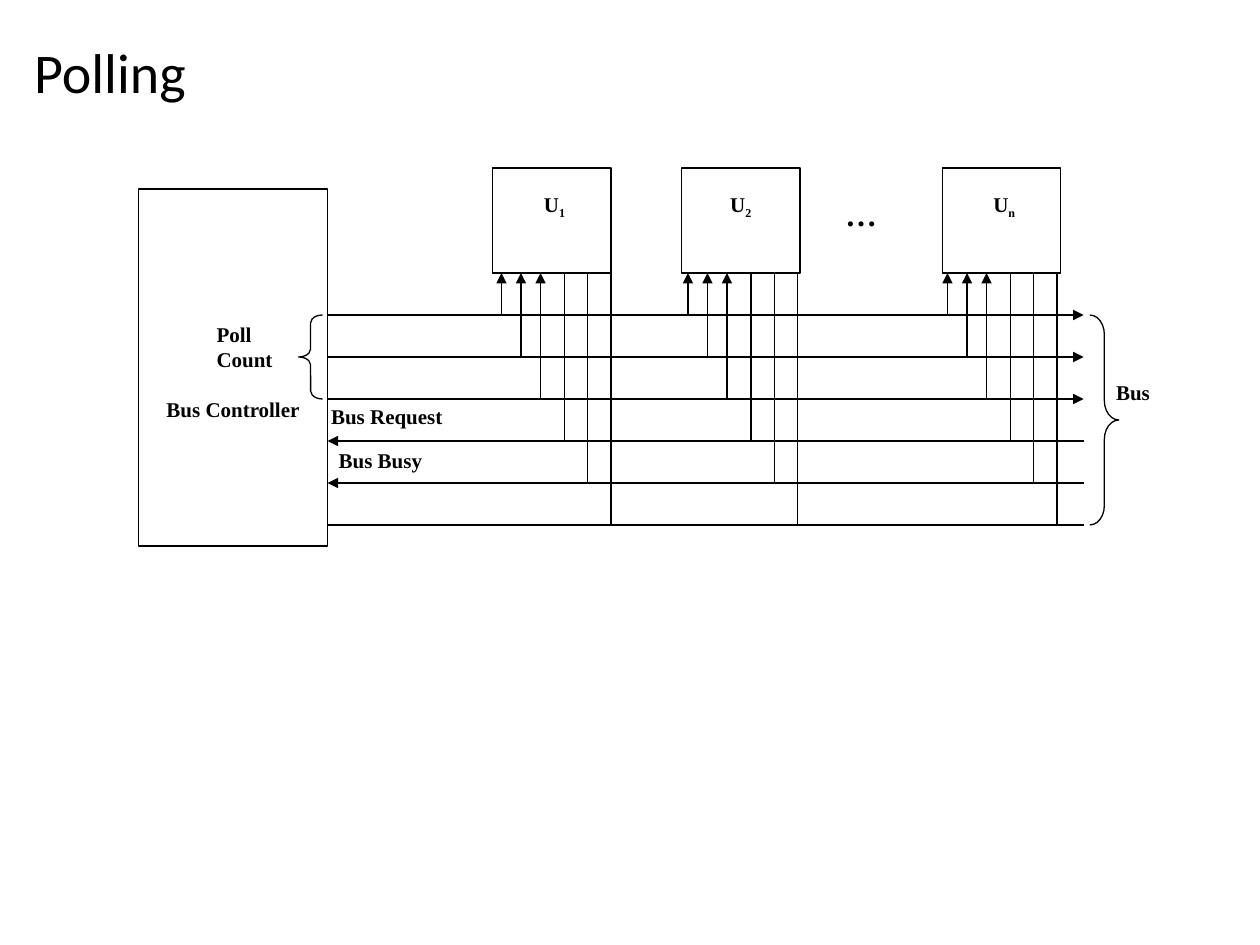
from lxml import etree
from pptx import Presentation
from pptx import util as u
from pptx.dml.color import RGBColor
from pptx.enum import shapes, text
from pptx.oxml.ns import qn

BLACK = RGBColor(0, 0, 0)
WHITE = RGBColor(255, 255, 255)
SERIF = "Times New Roman"

deck = Presentation()
deck.slide_width, deck.slide_height = u.Inches(10), u.Inches(7.5)
column = deck.slide_width / 100
row = deck.slide_height / 45
page = deck.slides.add_slide(deck.slide_layouts[5])


def write(box, lines, align, size=12, inset_rows=0.3):
    frame = box.text_frame
    frame.word_wrap = True
    frame.vertical_anchor = text.MSO_ANCHOR.TOP
    frame.margin_top = int(inset_rows * row)
    for index, pieces in enumerate(lines):
        para = frame.add_paragraph() if index else frame.paragraphs[0]
        para.alignment = align
        for level, piece in enumerate(pieces):
            span = para.add_run()
            span.text = piece
            span.font.name, span.font.size = SERIF, u.Pt(size)
            span.font.bold = True
            span.font.color.rgb = BLACK
            if level:
                span.font._element.set("baseline", "-25000")


def draw_line(start, end, arrow=None):
    line = page.shapes.add_connector(
        shapes.MSO_CONNECTOR.STRAIGHT,
        int(start[0] * column), int(start[1] * row),
        int(end[0] * column), int(end[1] * row))
    line.line.color.rgb = BLACK
    line.line.width = u.Pt(0.75)
    if arrow:
        etree.SubElement(line.line._ln, qn(f"a:{arrow}"), type="triangle")
    etree.SubElement(line._element.spPr, qn("a:effectLst"))


title = page.shapes.title
title.left, title.top = int(1.7 * column), int(1.5 * row)
title.width, title.height = int(95.8 * column), int(4.5 * row)
title.text_frame.vertical_anchor = text.MSO_ANCHOR.TOP
para = title.text_frame.paragraphs[0]
para.alignment = text.PP_ALIGN.LEFT
span = para.add_run()
span.text = "Polling"
span.font.name, span.font.size = "Calibri", u.Pt(32)
span.font.color.rgb = BLACK

blocks = [
    (11, 9, 15, 17, 9.9, ["Bus Controller"]),
    (39.1, 8, 9.4, 5, 1.1, [" U", "1"]),
    (54.1, 8, 9.4, 5, 1.1, ["U", "2"]),
    (74.8, 8, 9.4, 5, 1.1, [" U", "n"]),
]
for left, top, width, height, inset, pieces in blocks:
    box = page.shapes.add_shape(
        shapes.MSO_SHAPE.RECTANGLE, int(left * column), int(top * row),
        int(width * column), int(height * row))
    box.shadow.inherit = False
    box.fill.solid()
    box.fill.fore_color.rgb = WHITE
    box.line.color.rgb = BLACK
    box.line.width = u.Pt(0.75)
    write(box, [pieces], text.PP_ALIGN.CENTER, inset_rows=inset)

bus_rows = range(15, 26, 2)
bus_arrows = ["tailEnd"] * 3 + ["headEnd"] * 2 + [None]
for bus_row, arrow in zip(bus_rows, bus_arrows):
    draw_line((26, bus_row), (86, bus_row), arrow)

drop_offsets = [0, 1.55, 3.1, 5, 6.85, 8.7]
drop_arrows = ["headEnd"] * 3 + [None] * 3
for first_drop in (39.8, 54.6, 75.2):
    for offset, bus_row, arrow in zip(drop_offsets, bus_rows, drop_arrows):
        draw_line((first_drop + offset, 13), (first_drop + offset, bus_row), arrow)

braces = [
    (shapes.MSO_SHAPE.LEFT_BRACE, 23.7, 1.9, 4, 0.33),
    (shapes.MSO_SHAPE.RIGHT_BRACE, 86.5, 2.3, 10, 0.67),
]
for kind, left, width, height, curve in braces:
    brace = page.shapes.add_shape(
        kind, int(left * column), int(15 * row),
        int(width * column), int(height * row))
    brace.shadow.inherit = False
    brace.fill.background()
    brace.line.color.rgb = BLACK
    brace.line.width = u.Pt(0.75)
    brace.adjustments[0] = curve
    brace.adjustments[1] = 0.5

labels = [
    (64.6, 9, 7.5, 4, ["…"], text.PP_ALIGN.CENTER, 18),
    (87.6, 17.8, 8.3, 3, ["Bus"], text.PP_ALIGN.LEFT, 12),
    (25.3, 18.9, 17, 3, ["Bus Request"], text.PP_ALIGN.LEFT, 12),
    (25.9, 21, 17, 3, ["Bus Busy"], text.PP_ALIGN.LEFT, 12),
    (16.2, 15, 13.1, 5, ["Poll", "Count"], text.PP_ALIGN.LEFT, 12),
]
for left, top, width, height, lines, align, size in labels:
    box = page.shapes.add_textbox(
        int(left * column), int(top * row),
        int(width * column), int(height * row))
    write(box, [[line] for line in lines], align, size)

deck.save("out.pptx")
